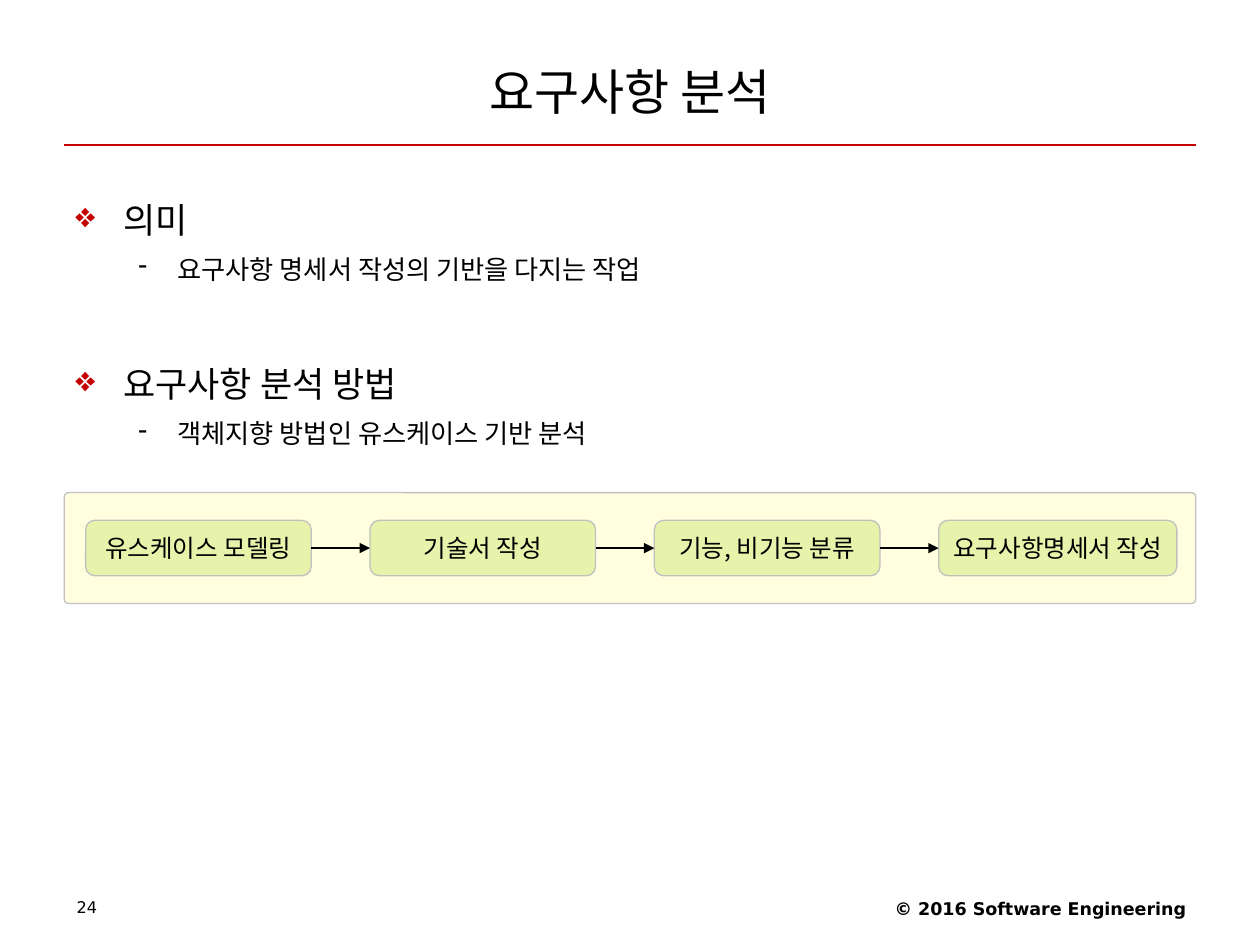
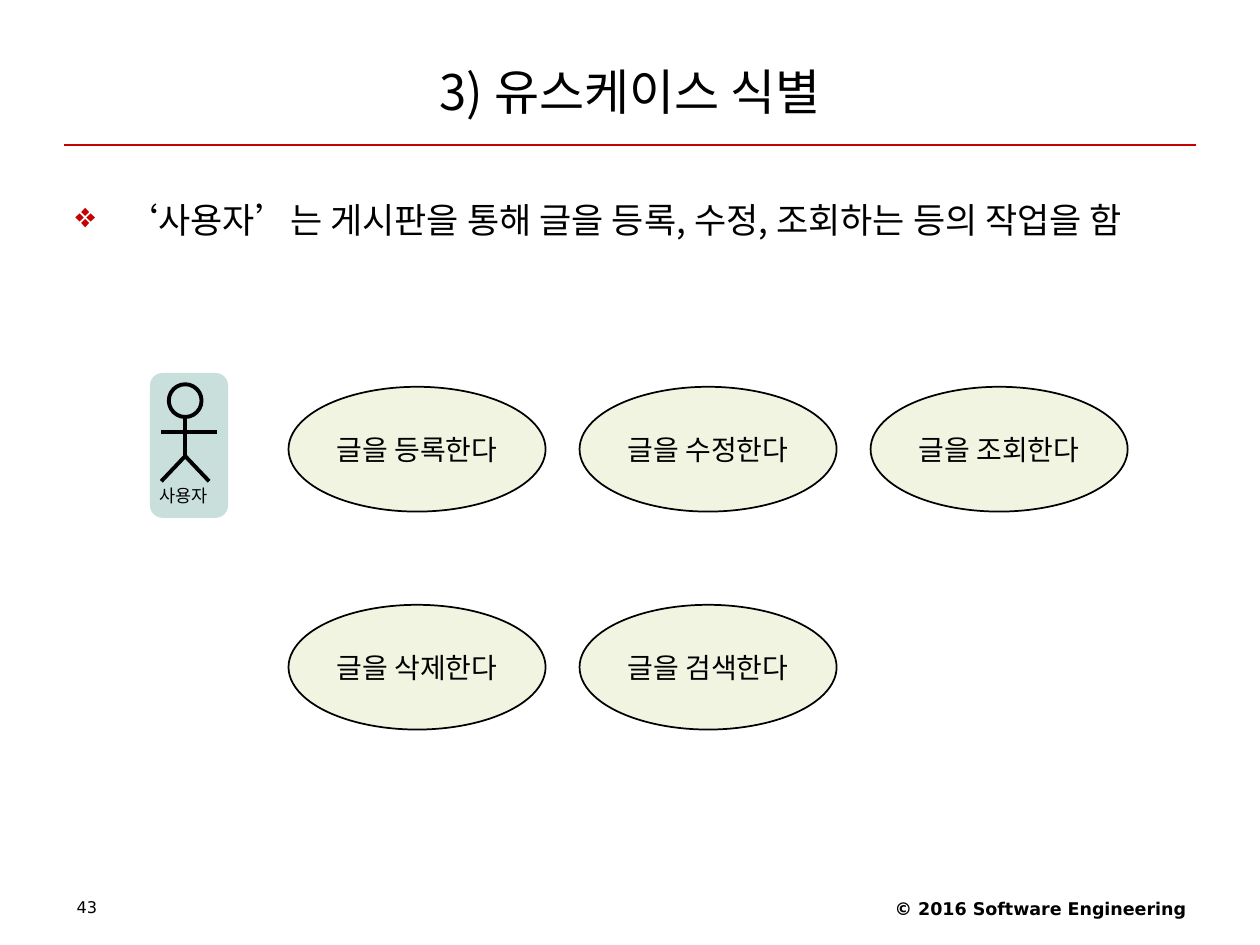
from dataclasses import dataclass
from itertools import pairwise

from lxml import etree
from pptx import Presentation
from pptx.dml.color import RGBColor
from pptx.enum.shapes import MSO_CONNECTOR, MSO_SHAPE
from pptx.enum.text import MSO_ANCHOR, PP_ALIGN
from pptx.oxml.ns import qn
from pptx.util import Inches, Pt

STRAIGHT = MSO_CONNECTOR.STRAIGHT
ROUNDED, OVAL = MSO_SHAPE.ROUNDED_RECTANGLE, MSO_SHAPE.OVAL
LEFT, CENTER, RIGHT = PP_ALIGN.LEFT, PP_ALIGN.CENTER, PP_ALIGN.RIGHT
TOP, MIDDLE = MSO_ANCHOR.TOP, MSO_ANCHOR.MIDDLE
LEFT_SIDE, RIGHT_SIDE = 1, 3
TITLE_ONLY = 5

COLORS = {
    "text": "000000",
    "accent": "C40000",
    "border": "C0C0C0",
    "panel": "FFFF99",
    "step": "99CC00",
    "use_case": "F1F4E0",
    "actor": "C9DFDC",
}
KOREAN, FOOTER, QUOTE = "Noto Sans CJK KR", "DejaVu Sans", "Arial"


@dataclass(frozen=True)
class Box:
    left: float
    top: float
    width: float
    height: float

    def lengths(self) -> list:
        return [Inches(v) for v in (self.left, self.top, self.width, self.height)]


@dataclass(frozen=True)
class ShapeStyle:
    fill: str | None
    line: str | None
    line_width: float = 0.75
    opacity: int = 100
    corner: float | None = None
    text_size: float = 14


@dataclass(frozen=True)
class Level:
    bullet: str
    bullet_color: str
    indent: float
    hanging: float
    size: float
    line_spacing: float
    space_before: float


@dataclass(frozen=True)
class Bullet:
    level: Level
    runs: tuple
    extra_space: float = 0


HEADING = Level("❖", "accent", 0.38, 0.38, 20, 1.4, 5)
DETAIL = Level("-", "text", 0.81, 0.31, 15, 1.2, 3.7)

PANEL = ShapeStyle("panel", "border", opacity=31, corner=0.038)
STEP = ShapeStyle("step", "border", opacity=23, corner=0.167)
USE_CASE = ShapeStyle("use_case", "text", 1, text_size=16)
ACTOR_CARD = ShapeStyle("actor", None, corner=0.16)
ACTOR_HEAD = ShapeStyle(None, "text", 2.25)


def rgb(name: str) -> RGBColor:
    return RGBColor.from_string(COLORS[name])


def add_run(p, text: str, size: float, font: str = KOREAN, bold: bool = False) -> None:
    r = p.add_run()
    r.text = text
    r.font.size = Pt(size)
    r.font.name = font
    r.font.bold = bold
    r.font.color.rgb = rgb("text")
    ea = etree.SubElement(r.font._element, qn("a:ea"))
    ea.set("typeface", KOREAN)


def add_label(slide, box: Box, text: str, size: float, font: str = KOREAN,
              align=LEFT, bold: bool = False, wrap: bool = True):
    tf = slide.shapes.add_textbox(*box.lengths()).text_frame
    tf.word_wrap = wrap
    tf.vertical_anchor = TOP
    p = tf.paragraphs[0]
    p.alignment = align
    add_run(p, text, size, font, bold)
    return p


def add_line(slide, start: tuple, end: tuple, color: str, width: float):
    line = slide.shapes.add_connector(STRAIGHT, *(Inches(v) for v in start + end))
    line.line.color.rgb = rgb(color)
    line.line.width = Pt(width)
    etree.SubElement(line._element.spPr, qn("a:effectLst"))
    return line


def add_arrow(slide, source, target) -> None:
    """Join the right side of source to the left side of target."""
    arrow = add_line(slide, (0, 0), (0, 0), "text", 0.75)
    arrow.begin_connect(source, RIGHT_SIDE)
    arrow.end_connect(target, LEFT_SIDE)
    etree.SubElement(arrow.line._get_or_add_ln(), qn("a:tailEnd")).set("type", "triangle")


def add_figure(slide, kind, box: Box, style: ShapeStyle, text: str = ""):
    sp = slide.shapes.add_shape(kind, *box.lengths())
    sp.shadow.inherit = False
    if style.corner is not None:
        sp.adjustments[0] = style.corner
    if style.fill:
        sp.fill.solid()
        sp.fill.fore_color.rgb = rgb(style.fill)
        if style.opacity < 100:
            color = sp._element.spPr.find(qn("a:solidFill")).find(qn("a:srgbClr"))
            etree.SubElement(color, qn("a:alpha")).set("val", str(style.opacity * 1000))
    else:
        sp.fill.background()
    if style.line:
        sp.line.color.rgb = rgb(style.line)
        sp.line.width = Pt(style.line_width)
    else:
        sp.line.fill.background()
    if text:
        tf = sp.text_frame
        tf.word_wrap = False
        tf.vertical_anchor = MIDDLE
        p = tf.paragraphs[0]
        p.alignment = CENTER
        add_run(p, text, style.text_size)
    return sp


def add_bullets(slide, bullets: list[Bullet]) -> None:
    tf = slide.shapes.add_textbox(*Box(0.5, 1.39, 9, 5.51).lengths()).text_frame
    tf.word_wrap = True
    for i, bullet in enumerate(bullets):
        level = bullet.level
        p = tf.paragraphs[0] if i == 0 else tf.add_paragraph()
        p.line_spacing = level.line_spacing
        p.space_before = Pt(level.space_before + bullet.extra_space)
        pPr = p._p.get_or_add_pPr()
        pPr.set("marL", str(Inches(level.indent)))
        pPr.set("indent", str(-Inches(level.hanging)))
        color = etree.SubElement(pPr, qn("a:buClr"))
        etree.SubElement(color, qn("a:srgbClr")).set("val", COLORS[level.bullet_color])
        etree.SubElement(pPr, qn("a:buChar")).set("char", level.bullet)
        for text, font in bullet.runs:
            add_run(p, text, level.size, font)


def add_slide(prs, title: str, number: int):
    """Add a slide with the shared title, rule and footers."""
    slide = prs.slides.add_slide(prs.slide_layouts[TITLE_ONLY])
    sp = slide.shapes.title
    sp.left, sp.top, sp.width, sp.height = Box(0.5, 0.3, 9, 0.85).lengths()
    tf = sp.text_frame
    tf.vertical_anchor = MIDDLE
    p = tf.paragraphs[0]
    p.alignment = CENTER
    add_run(p, title, 28)
    add_line(slide, (0.51, 1.15), (9.49, 1.15), "accent", 0.75)
    add_label(slide, Box(6.34, 7.08, 3.17, 0.29), "© 2016 Software Engineering",
              10, FOOTER, RIGHT, bold=True)
    page = add_label(slide, Box(0.51, 7.09, 2.33, 0.28), str(number), 9.2, FOOTER)
    page.line_spacing = 0.9
    return slide


def add_actor(slide) -> None:
    add_figure(slide, ROUNDED, Box(1.19, 2.96, 0.62, 1.15), ACTOR_CARD)
    neck, hip = (1.47, 3.3), (1.47, 3.62)
    limbs = [
        ((1.28, 3.43), (1.72, 3.43)),
        (neck, hip),
        (hip, (1.28, 3.82)),
        (hip, (1.66, 3.82)),
    ]
    for start, end in limbs:
        add_line(slide, start, end, "text", 2.25)
    add_figure(slide, OVAL, Box(1.34, 3.05, 0.26, 0.26), ACTOR_HEAD)
    add_label(slide, Box(1.17, 3.8, 0.6, 0.27), "사용자", 10, wrap=False)


def build_analysis(prs) -> None:
    slide = add_slide(prs, "요구사항 분석", 24)
    add_bullets(slide, [
        Bullet(HEADING, (("의미", KOREAN),)),
        Bullet(DETAIL, (("요구사항 명세서 작성의 기반을 다지는 작업", KOREAN),)),
        Bullet(HEADING, (("요구사항 분석 방법", KOREAN),), extra_space=30),
        Bullet(DETAIL, (("객체지향 방법인 유스케이스 기반 분석", KOREAN),)),
    ])
    add_figure(slide, ROUNDED, Box(0.51, 3.91, 8.98, 0.88), PANEL)
    labels = ["유스케이스 모델링", "기술서 작성", "기능, 비기능 분류", "요구사항명세서 작성"]
    widths = [1.79, 1.79, 1.79, 1.89]
    first, last = 0.68, 7.45
    pitch = (last - first) / (len(labels) - 1)
    steps = [
        add_figure(slide, ROUNDED, Box(first + i * pitch, 4.13, width, 0.44), STEP, label)
        for i, (label, width) in enumerate(zip(labels, widths))
    ]
    for source, target in pairwise(steps):
        add_arrow(slide, source, target)


def build_use_cases(prs) -> None:
    slide = add_slide(prs, "3) 유스케이스 식별", 43)
    add_bullets(slide, [Bullet(HEADING, (
        ("‘", QUOTE),
        ("사용자", KOREAN),
        ("’", QUOTE),
        ("는 게시판을 통해 글을 등록, 수정, 조회하는 등의 작업을 함", KOREAN),
    ))])
    add_actor(slide)
    rows = [
        ["글을 등록한다", "글을 수정한다", "글을 조회한다"],
        ["글을 삭제한다", "글을 검색한다"],
    ]
    for r, row in enumerate(rows):
        for c, label in enumerate(row):
            box = Box(2.29 + c * 2.31, 3.07 + r * 1.73, 2.04, 0.99)
            add_figure(slide, OVAL, box, USE_CASE, label)


def main() -> None:
    prs = Presentation()
    prs.slide_width, prs.slide_height = Inches(10), Inches(7.5)
    build_analysis(prs)
    build_use_cases(prs)
    prs.save("out.pptx")


if __name__ == "__main__":
    main()
